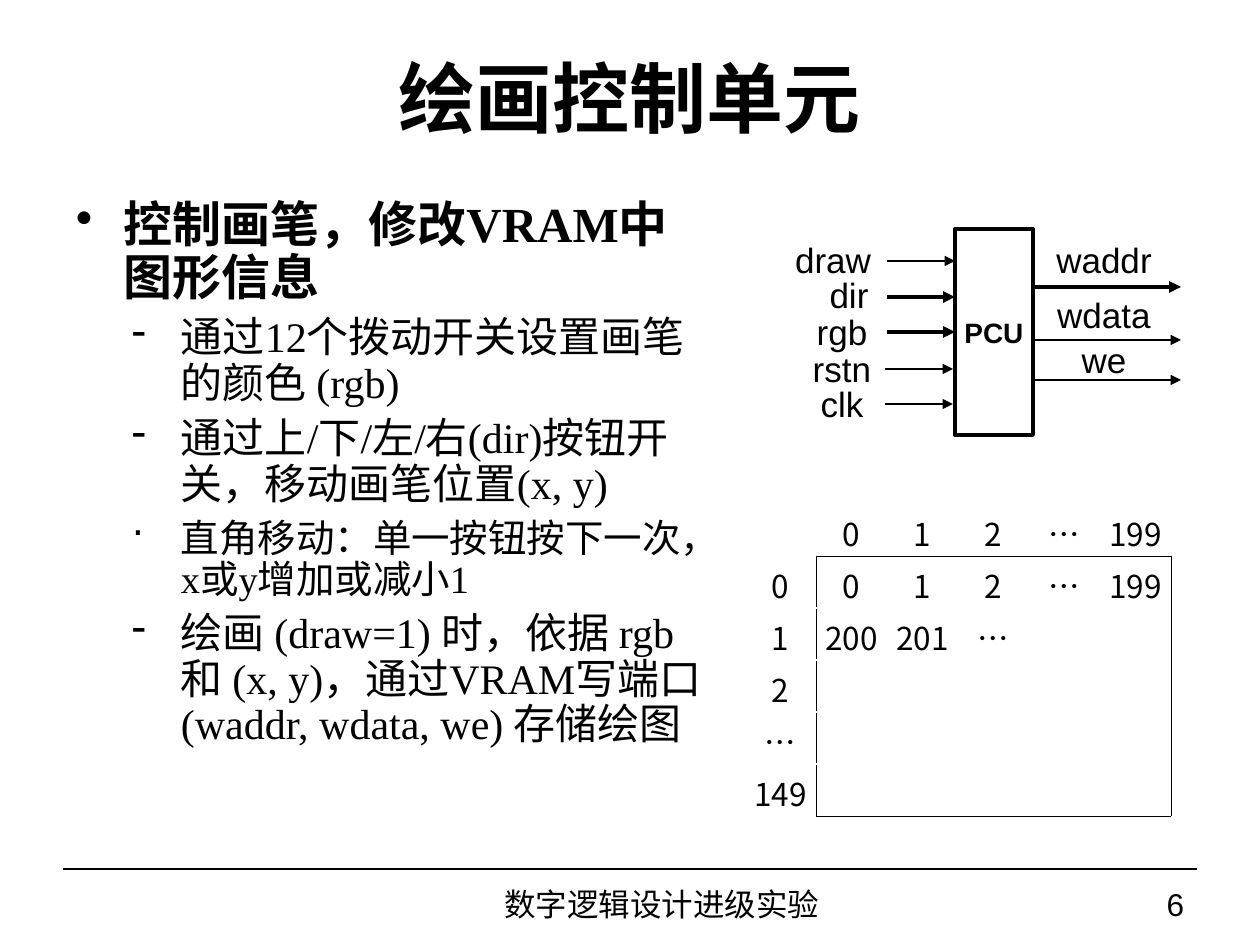
from dataclasses import dataclass

from lxml import etree
from pptx import Presentation
from pptx import util as u
from pptx.dml.color import RGBColor
from pptx.enum import shapes, text
from pptx.oxml.ns import qn

PX = 914400 / 126


@dataclass(frozen=True)
class Theme:
    ink = RGBColor(0, 0, 0)
    paper = RGBColor(255, 255, 255)
    serif = "Times New Roman"
    sans = "Arial"
    accent = "Roboto"
    grid = "Noto Sans CJK SC"
    title = 44
    heading = 28
    point = 24
    detail = 22
    signal = 20
    small = 18
    block = 16
    bus = 2.25
    wire = 1.5
    rule = 0.75
    frame = 0.45


THEME = Theme()
TITLE = "绘画控制单元"
FOOTER = "数字逻辑设计进级实验"
PAGE = "6"

# bullet, size, bold, left indent px, hanging px, runs of (text, font)
POINT = (THEME.point, False, 105, 49)
POINTS = [
    ("•", THEME.heading, True, 48, 48, [("控制画笔，修改VRAM中图形信息", THEME.serif)]),
    ("-", *POINT, [("通过12个拨动开关设置画笔的颜色 (rgb)", THEME.serif)]),
    ("-", *POINT, [("通过上/下/左/右(dir)按钮开关，移动画笔位置(x, y)", THEME.serif)]),
    ("·", THEME.detail, False, 105, 49,
     [("直角移动：", THEME.accent), ("单一按钮按下一次，x或y增加或减小1", THEME.serif)]),
    ("-", *POINT,
     [("绘画 (draw=1) 时，依据 rgb 和 (x, y)，通过VRAM写端口(waddr, wdata, we) 存储绘图",
       THEME.serif)]),
]

VRAM = [
    ["", "0", "1", "2", "…", "199"],
    ["0", "0", "1", "2", "…", "199"],
    ["1", "200", "201", "…", "", ""],
    ["2", "", "", "", "", ""],
    ["…", "", "", "", "", ""],
    ["149", "", "", "", "", ""],
]

PCU = (955, 229, 78, 206)
# name, label centre x, label centre y, wire start x, wire end x, wire y, weight
SIGNALS = [
    ("draw", 833, 259, 887, 955, 261, THEME.wire),
    ("dir", 849, 295, 887, 955, 297, THEME.bus),
    ("rgb", 842, 331, 887, 955, 332, THEME.bus),
    ("rstn", 842, 368, 885, 953, 369, THEME.wire),
    ("clk", 842, 403, 885, 953, 404, THEME.wire),
    ("waddr", 1104, 259, 1033, 1181, 287, THEME.bus),
    ("wdata", 1104, 314, 1033, 1181, 340, THEME.wire),
    ("we", 1104, 359, 1033, 1181, 380, THEME.wire),
]
LABEL_W, LABEL_H = 96, 42


def px(*lengths):
    return [u.Emu(round(n * PX)) for n in lengths]


def write(paragraph, content, size, font=THEME.sans, bold=False, align=text.PP_ALIGN.CENTER):
    paragraph.alignment = align
    run = paragraph.add_run()
    run.text = content
    run.font.size, run.font.name, run.font.bold = u.Pt(size), font, bold
    run.font.color.rgb = THEME.ink


def set_margins(holder, horizontal, vertical):
    holder.margin_left = holder.margin_right = px(horizontal)[0]
    holder.margin_top = holder.margin_bottom = px(vertical)[0]


def add_box(slide, box, content=None, margins=(13, 6), wrap=True,
            anchor=text.MSO_ANCHOR.MIDDLE, **fmt):
    frame = slide.shapes.add_textbox(*px(*box)).text_frame
    frame.word_wrap, frame.vertical_anchor = wrap, anchor
    set_margins(frame, *margins)
    if content:
        write(frame.paragraphs[0], content, **fmt)
    return frame


def add_line(slide, x1, x2, y, weight, arrow=False):
    line = slide.shapes.add_connector(shapes.MSO_CONNECTOR.STRAIGHT, *px(x1, y, x2, y))
    line.line.color.rgb, line.line.width = THEME.ink, u.Pt(weight)
    props = line._element.spPr
    if arrow:
        etree.SubElement(props.find(qn("a:ln")), qn("a:tailEnd"), type="triangle")
    etree.SubElement(props, qn("a:effectLst"))
    return line


def add_points(slide):
    frame = add_box(slide, (63, 194, 655, 674), anchor=text.MSO_ANCHOR.TOP)
    for i, (bullet, size, bold, left, hanging, runs) in enumerate(POINTS):
        paragraph = frame.add_paragraph() if i else frame.paragraphs[0]
        paragraph.level = min(i, 1)
        paragraph.line_spacing, paragraph.space_after = 0.9, u.Pt(6)
        for content, font in runs:
            write(paragraph, content, size, font, bold, text.PP_ALIGN.LEFT)
        props = paragraph._p.get_or_add_pPr()
        props.set("marL", str(px(left)[0]))
        props.set("indent", str(-px(hanging)[0]))
        color = etree.SubElement(props, qn("a:buClr"))
        etree.SubElement(color, qn("a:srgbClr"), val=str(THEME.ink))
        etree.SubElement(props, qn("a:buChar"), char=bullet)


def add_border(cell, side):
    """Draw one side of a cell; sides must come in the order L, R, T, B."""
    line = etree.SubElement(cell._tc.get_or_add_tcPr(), qn("a:ln" + side),
                            w=str(u.Pt(THEME.frame)))
    fill = etree.SubElement(line, qn("a:solidFill"))
    etree.SubElement(fill, qn("a:srgbClr"), val=str(THEME.ink))


def add_vram(slide):
    last = len(VRAM) - 1
    table = slide.shapes.add_table(len(VRAM), len(VRAM[0]), *px(745, 504, 426, 312)).table
    table.first_row = table.horz_banding = False
    for r, row in enumerate(VRAM):
        for c, content in enumerate(row):
            cell = table.cell(r, c)
            cell.vertical_anchor = text.MSO_ANCHOR.MIDDLE
            set_margins(cell, 1, 6)
            if content:
                write(cell.text_frame.paragraphs[0], content, THEME.small, THEME.grid)
            borders = {
                "L": r and c == 1,
                "R": r and c in (0, last),
                "T": c and r == 1,
                "B": c and r in (0, last),
            }
            for side, drawn in borders.items():
                if drawn:
                    add_border(cell, side)
            if r and c:
                cell.fill.solid()
                cell.fill.fore_color.rgb = THEME.paper
            else:
                cell.fill.background()


def add_pcu(slide):
    block = slide.shapes.add_shape(shapes.MSO_SHAPE.RECTANGLE, *px(*PCU))
    block.shadow.inherit = False
    block.fill.background()
    block.line.color.rgb, block.line.width = THEME.ink, u.Pt(THEME.bus)
    set_margins(block.text_frame, 0, 0)
    write(block.text_frame.paragraphs[0], "PCU", THEME.block, bold=True)
    left, top, _, height = PCU
    for name, x, y, start, end, wire_y, weight in SIGNALS:
        wire = add_line(slide, start, end, wire_y, weight, arrow=True)
        if (end, wire_y) == (left, top + height // 2):
            wire.end_connect(block, 1)
        add_box(slide, (x - LABEL_W // 2, y - LABEL_H // 2, LABEL_W, LABEL_H), name,
                margins=(0, 0), wrap=False, size=THEME.signal)


def main():
    deck = Presentation()
    deck.slide_width, deck.slide_height = px(1260, 945)
    slide = deck.slides.add_slide(deck.slide_layouts[6])
    add_line(slide, 63, 1197, 869, THEME.rule)
    add_box(slide, (63, 38, 1134, 117), TITLE, size=THEME.title, font=THEME.serif, bold=True)
    add_points(slide)
    add_box(slide, (977, 880, 220, 47), PAGE, size=THEME.small, align=text.PP_ALIGN.RIGHT)
    add_box(slide, (357, 880, 609, 47), FOOTER, size=THEME.small)
    add_vram(slide)
    add_pcu(slide)
    deck.save("out.pptx")


if __name__ == "__main__":
    main()
